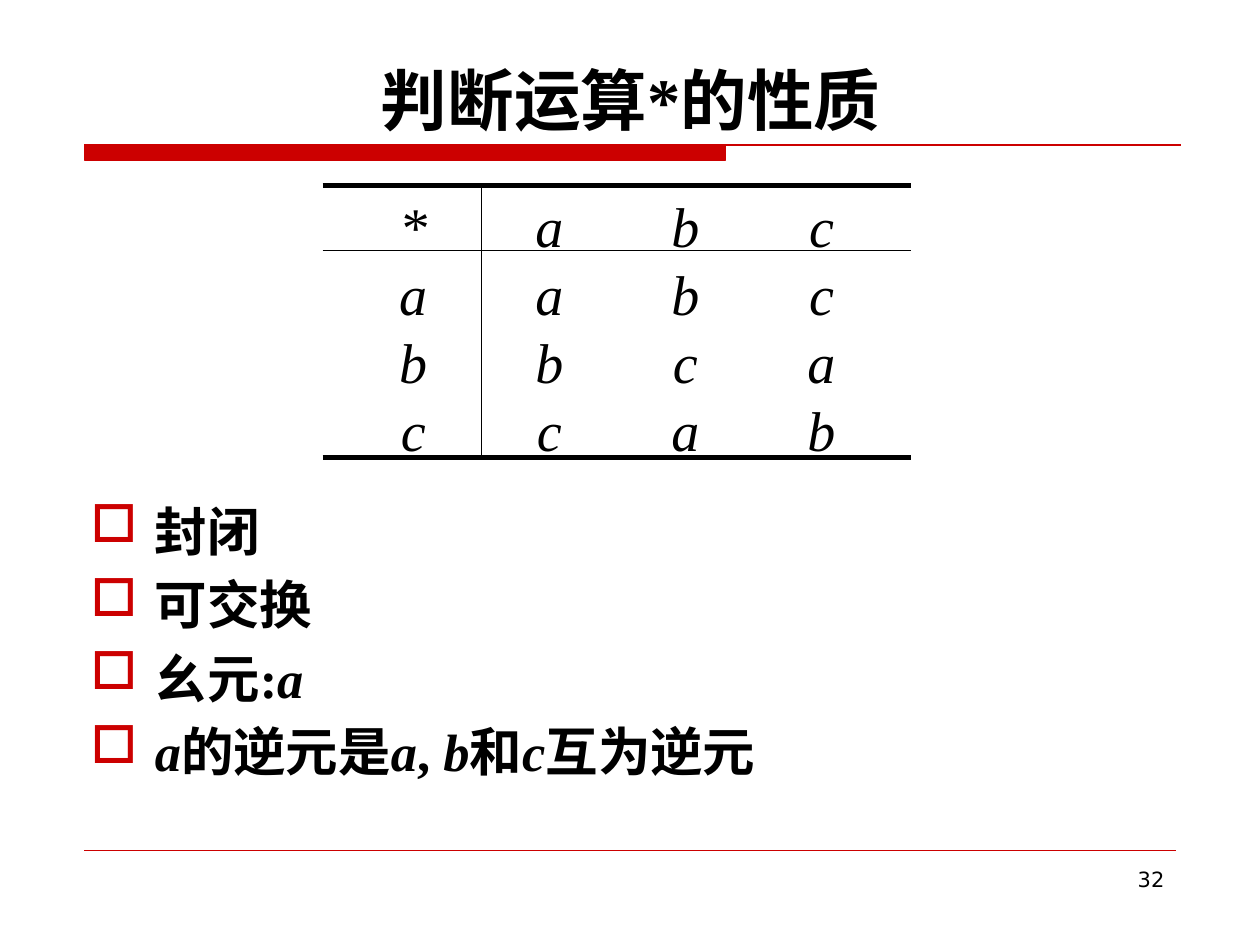
"""Build the slide on the properties of the operation *."""
import pptx
import pptx.dml.color
import pptx.enum.shapes
import pptx.enum.text
import pptx.oxml
import pptx.oxml.ns
import pptx.util
from pptx.util import Inches

RED = pptx.dml.color.RGBColor(0xCC, 0x00, 0x00)
BLACK = pptx.dml.color.RGBColor(0x00, 0x00, 0x00)
ALIGN = pptx.enum.text.PP_ALIGN
ANCHOR = pptx.enum.text.MSO_ANCHOR
NS = pptx.oxml.ns.nsdecls("a")

deck = pptx.Presentation()
deck.slide_width, deck.slide_height = Inches(10), Inches(7.5)
slide = deck.slides.add_slide(deck.slide_layouts[6])
shapes = slide.shapes


def write(text, left, top, width, height, size=32, font="Times New Roman", bold=False,
          italic=False, align=ALIGN.LEFT, anchor=ANCHOR.TOP, bullet=None):
    """Add a text box; each line is a paragraph and _ toggles italics."""
    box = shapes.add_textbox(Inches(left), Inches(top), Inches(width), Inches(height))
    frame = box.text_frame
    frame.word_wrap = True
    frame.vertical_anchor = anchor
    for row, line in enumerate(text.split("\n")):
        para = frame.add_paragraph() if row else frame.paragraphs[0]
        para.alignment = align
        if bullet:
            props = para._p.get_or_add_pPr()
            props.set("marL", str(Inches(0.51)))
            props.set("indent", str(-Inches(0.51)))
            for mark in (f'<a:buClr {NS}><a:srgbClr val="{RED}"/></a:buClr>',
                         f'<a:buFont {NS} typeface="Wingdings" charset="2"/>',
                         f'<a:buChar {NS} char="{bullet}"/>'):
                props.append(pptx.oxml.parse_xml(mark))
            if row:
                para.space_before = pptx.util.Pt(size * 0.2)
        for turn, part in enumerate(line.split("_")):
            if part:
                run = para.add_run()
                run.text = part
                run.font.name = font
                run.font.size = pptx.util.Pt(size)
                run.font.bold = bold
                run.font.italic = italic or turn % 2 == 1
                run.font.color.rgb = BLACK


def rule(start, end, weight, color=BLACK):
    """Draw a straight line without a shadow."""
    line = shapes.add_connector(pptx.enum.shapes.MSO_CONNECTOR.STRAIGHT,
                                *(Inches(n) for n in start + end))
    line.line.width = pptx.util.Pt(weight)
    line.line.color.rgb = color
    line._element.spPr.append(pptx.oxml.parse_xml(f"<a:effectLst {NS}/>"))


pen = shapes.build_freeform(Inches(0.67), Inches(1.15))
pen.add_line_segments([(Inches(x), Inches(y)) for x, y in
                       ((5.76, 1.15), (5.76, 1.27), (0.67, 1.27))])
pen.move_to(Inches(0.67), Inches(1.15))
pen.add_line_segments([(Inches(9.37), Inches(1.15))], close=False)
bar = pen.convert_to_shape()
bar.shadow.inherit = False
bar.fill.solid()
bar.fill.fore_color.rgb = RED
bar.line.color.rgb = RED
bar.line.width = pptx.util.Pt(0.75)

rule((0.67, 6.75), (9.33, 6.75), 0.25, RED)
write("32", 7.17, 6.83, 2.17, 0.52, size=12, font="DejaVu Sans", align=ALIGN.RIGHT)
write("判断运算*的性质", 0.63, 0.33, 8.75, 0.82, size=38, bold=True,
      align=ALIGN.CENTER, anchor=ANCHOR.BOTTOM)
write("封闭\n可交换\n幺元:_a_\n_a_的逆元是_a_, _b_和_c_互为逆元",
      0.62, 3.91, 8.75, 2.76, size=30, bold=True, bullet="o")

for row, signs in enumerate(("*abc", "aabc", "bbca", "ccab")):
    for col, sign in enumerate(signs):
        write(sign, 2.93 + 1.08 * col, 1.47 + 0.54 * row, 0.7, 0.54,
              italic=True, align=ALIGN.CENTER)

for y, weight in ((1.47, 3), (1.99, 0.75), (3.63, 3)):
    rule((2.56, y), (7.23, y), weight)
rule((3.82, 1.47), (3.82, 3.63), 0.75)

deck.save("out.pptx")
